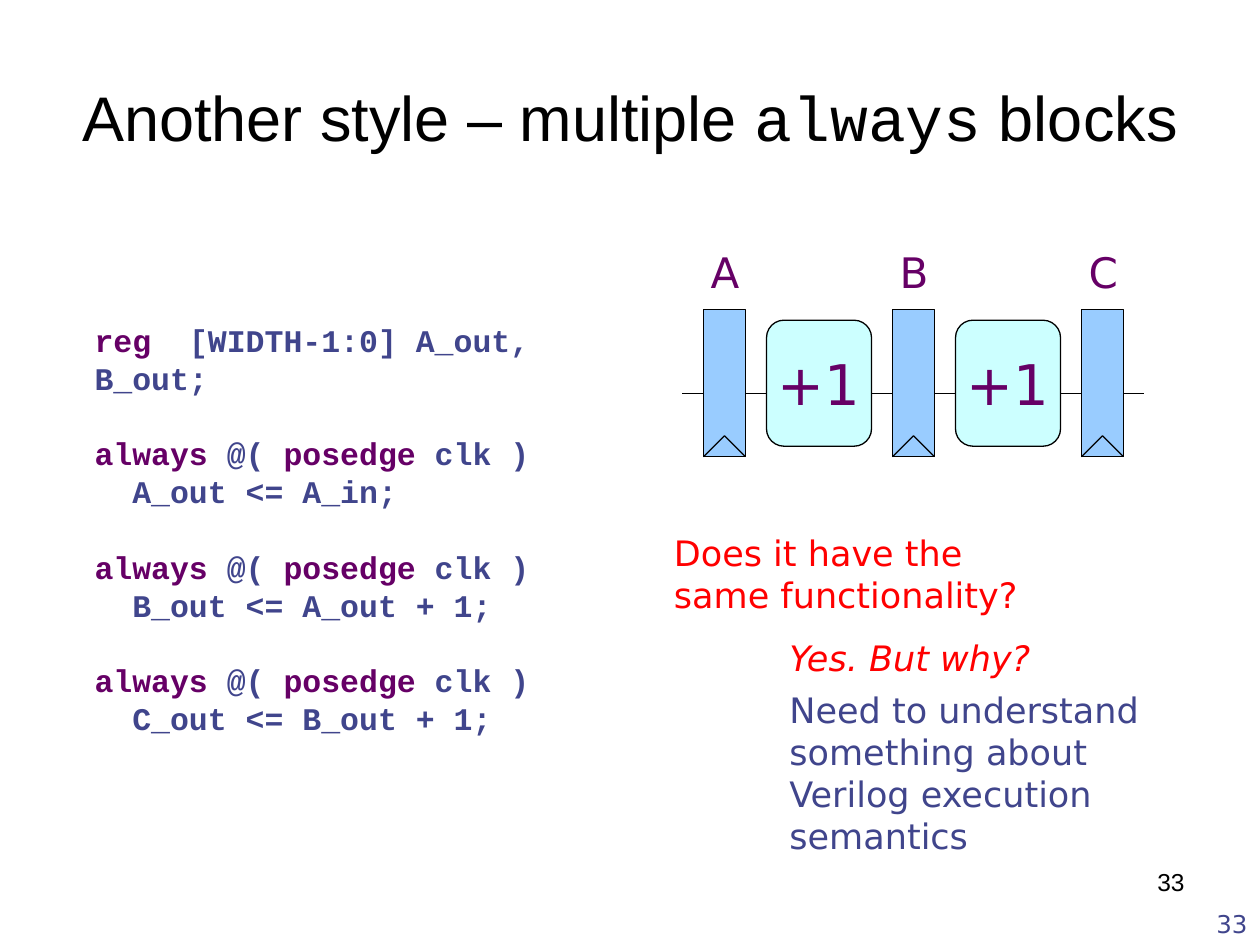
from dataclasses import dataclass

from lxml.etree import SubElement
from pptx import Presentation
from pptx.dml.color import RGBColor
from pptx.enum.shapes import MSO_CONNECTOR, MSO_SHAPE
from pptx.enum.text import MSO_ANCHOR, MSO_AUTO_SIZE, PP_ALIGN
from pptx.oxml.ns import qn
from pptx.util import Pt


@dataclass(frozen=True)
class Theme:
    sans: str = "DejaVu Sans"
    heading: str = "Arial"
    mono: str = "Courier New"
    black: str = "000000"
    red: str = "FF0000"
    slate: str = "40458C"
    purple: str = "660066"
    register: str = "99CCFF"
    logic: str = "CCFFFF"
    title_size: int = 36
    op_size: int = 32
    label_size: int = 24
    note_size: int = 20
    code_size: int = 18
    number_size: int = 14
    line_width: float = 0.75
    leading: float = 1.2


T = Theme()

# Pipeline geometry: register, gap, logic block, gap, next register
REG_W, REG_H = 24, 84
LOGIC_W, LOGIC_H = 60, 72
GAP = 12
PITCH = REG_W + LOGIC_W + 2 * GAP
PIPE_X, PIPE_Y = 402, 177
WIRE_Y = 225

KEYWORDS = ("reg", "always", "posedge")


def write(p, text, size=T.note_size, font=T.sans, color=T.slate,
          bold=False, italic=False):
    r = p.add_run()
    r.text = text
    f = r.font
    f.size, f.name, f.bold, f.italic = Pt(size), font, bold, italic
    f.color.rgb = RGBColor.from_string(color)


def add_text(slide, box, text, wrap=True, align=PP_ALIGN.LEFT,
             anchor=MSO_ANCHOR.TOP, size=T.note_size, **style):
    tf = slide.shapes.add_textbox(*map(Pt, box)).text_frame
    tf.word_wrap = wrap
    tf.vertical_anchor = anchor
    p = tf.paragraphs[0]
    p.alignment = align
    p.line_spacing = Pt(size * T.leading)
    write(p, text, size=size, **style)


def add_box(slide, kind, box, fill):
    sp = slide.shapes.add_shape(kind, *map(Pt, box))
    sp.shadow.inherit = False
    sp.fill.solid()
    sp.fill.fore_color.rgb = RGBColor.from_string(fill)
    sp.line.color.rgb = RGBColor.from_string(T.black)
    sp.line.width = Pt(T.line_width)
    return sp


def add_line(slide, x1, y1, x2, y2):
    line = slide.shapes.add_connector(
        MSO_CONNECTOR.STRAIGHT, *map(Pt, (x1, y1, x2, y2)))
    line.line.color.rgb = RGBColor.from_string(T.black)
    line.line.width = Pt(T.line_width)
    SubElement(line._element.spPr, qn("a:effectLst"))


def add_register(slide, x, name):
    """Named register with its clock notch and the wires on both sides."""
    add_box(slide, MSO_SHAPE.RECTANGLE, (x, PIPE_Y, REG_W, REG_H), T.register)
    middle, right, bottom = x + REG_W / 2, x + REG_W, PIPE_Y + REG_H
    add_line(slide, x, bottom, middle, bottom - GAP)
    add_line(slide, middle, bottom - GAP, right, bottom)
    add_line(slide, x - GAP, WIRE_Y, x, WIRE_Y)
    add_line(slide, right, WIRE_Y, right + GAP, WIRE_Y)
    add_text(slide, (middle - 15, 137.5, 30, 36), name, wrap=False,
             align=PP_ALIGN.CENTER, size=T.label_size, color=T.purple)


def add_logic(slide, x, text):
    y = PIPE_Y + (REG_H - LOGIC_H) / 2
    sp = add_box(slide, MSO_SHAPE.ROUNDED_RECTANGLE,
                 (x, y, LOGIC_W, LOGIC_H), T.logic)
    tf = sp.text_frame
    tf.word_wrap = False
    tf.vertical_anchor = MSO_ANCHOR.MIDDLE
    p = tf.paragraphs[0]
    p.alignment = PP_ALIGN.CENTER
    write(p, text, size=T.op_size, color=T.purple)


def add_code(slide, box, blocks):
    """Each block is a list of lines; lines after the first are indented."""
    tf = slide.shapes.add_textbox(*map(Pt, box)).text_frame
    tf.word_wrap = True
    tf.margin_left = tf.margin_top = tf.margin_bottom = Pt(12)
    tf.margin_right = Pt(18)
    leading = Pt(T.code_size * T.leading)
    two_chars = Pt(T.code_size * 1.2)
    p = tf.paragraphs[0]
    for b, block in enumerate(blocks):
        for n, pieces in enumerate(block):
            if b or n:
                p = tf.add_paragraph()
            p.line_spacing = leading
            if n:
                p._p.get_or_add_pPr().set("marL", str(two_chars))
            elif b:
                p.space_before = leading
            for piece in pieces:
                color = T.purple if piece in KEYWORDS else T.slate
                write(p, piece, size=T.code_size, font=T.mono,
                      color=color, bold=True)


def add_title(slide, box, pieces):
    title = slide.shapes.title
    title.left, title.top, title.width, title.height = map(Pt, box)
    tf = title.text_frame
    tf.auto_size = MSO_AUTO_SIZE.NONE
    tf.vertical_anchor = MSO_ANCHOR.MIDDLE
    p = tf.paragraphs[0]
    p.alignment = PP_ALIGN.CENTER
    for text, font in pieces:
        write(p, text, size=T.title_size, font=font, color=T.black)


def main():
    prs = Presentation()
    prs.slide_width, prs.slide_height = Pt(720), Pt(540)
    slide = prs.slides.add_slide(prs.slide_layouts[5])

    add_title(slide, (36, 21.6, 648, 90),
              [("Another style – multiple ", T.heading),
               ("always", T.mono), (" blocks", T.heading)])

    clocked = ["always", " @( ", "posedge", " clk )"]
    assigns = ["A_out <= A_in;", "B_out <= A_out + 1;", "C_out <= B_out + 1;"]
    add_code(slide, (42, 171.5, 348, 261),
             [[["reg", "  [WIDTH-1:0] A_out, B_out;"]]]
             + [[clocked, [assign]] for assign in assigns])

    for i, name in enumerate("ABC"):
        add_register(slide, PIPE_X + i * PITCH, name)
    for i in range(2):
        add_logic(slide, PIPE_X + REG_W + GAP + i * PITCH, "+1")

    add_text(slide, (378, 300, 240, 55.5),
             "Does it have the same functionality?", color=T.red)
    add_text(slide, (444, 390, 240, 104),
             "Need to understand something about Verilog execution semantics")
    add_text(slide, (444, 360, 240, 31.5), "Yes. But why?",
             color=T.red, italic=True)

    add_text(slide, (570, 504, 150, 36), "33", align=PP_ALIGN.RIGHT,
             anchor=MSO_ANCHOR.BOTTOM, size=T.number_size)
    add_text(slide, (516, 492, 168, 37.5), "33", align=PP_ALIGN.RIGHT,
             size=T.number_size, font=T.heading, color=T.black)

    prs.save("out.pptx")


if __name__ == "__main__":
    main()
